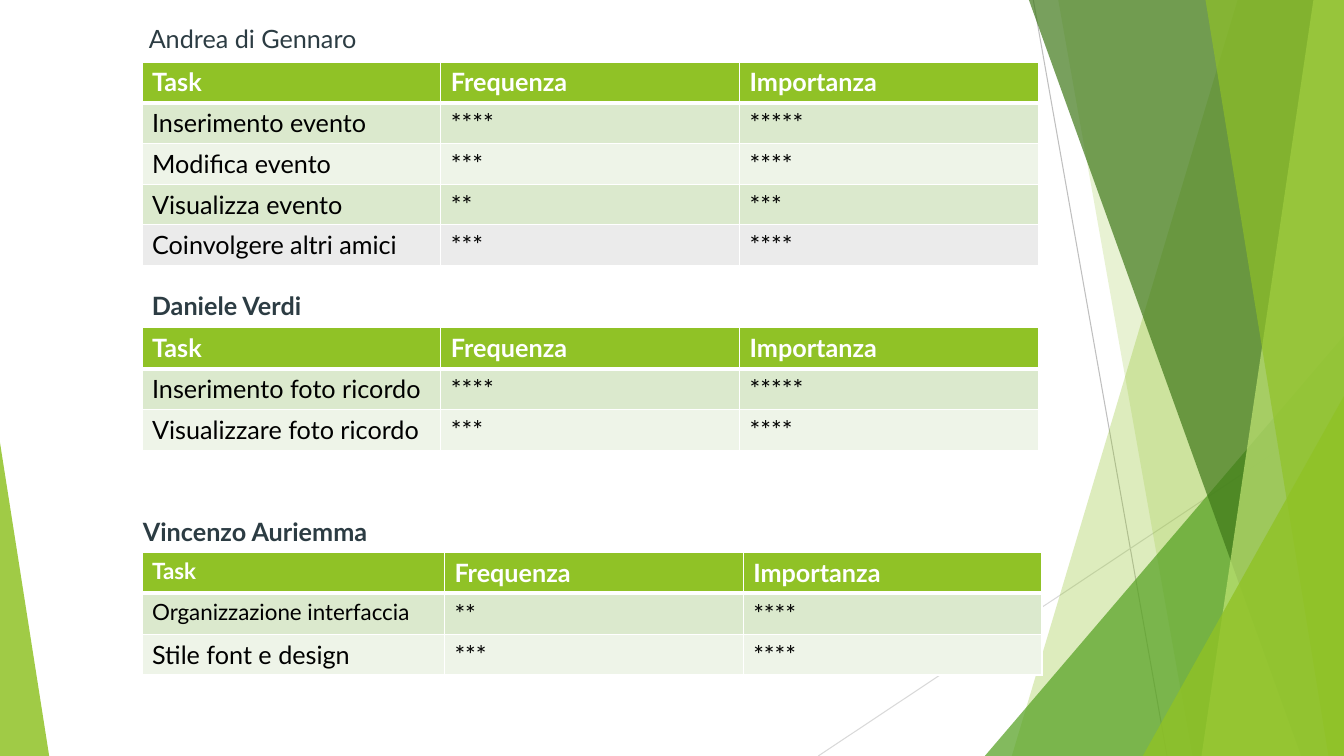
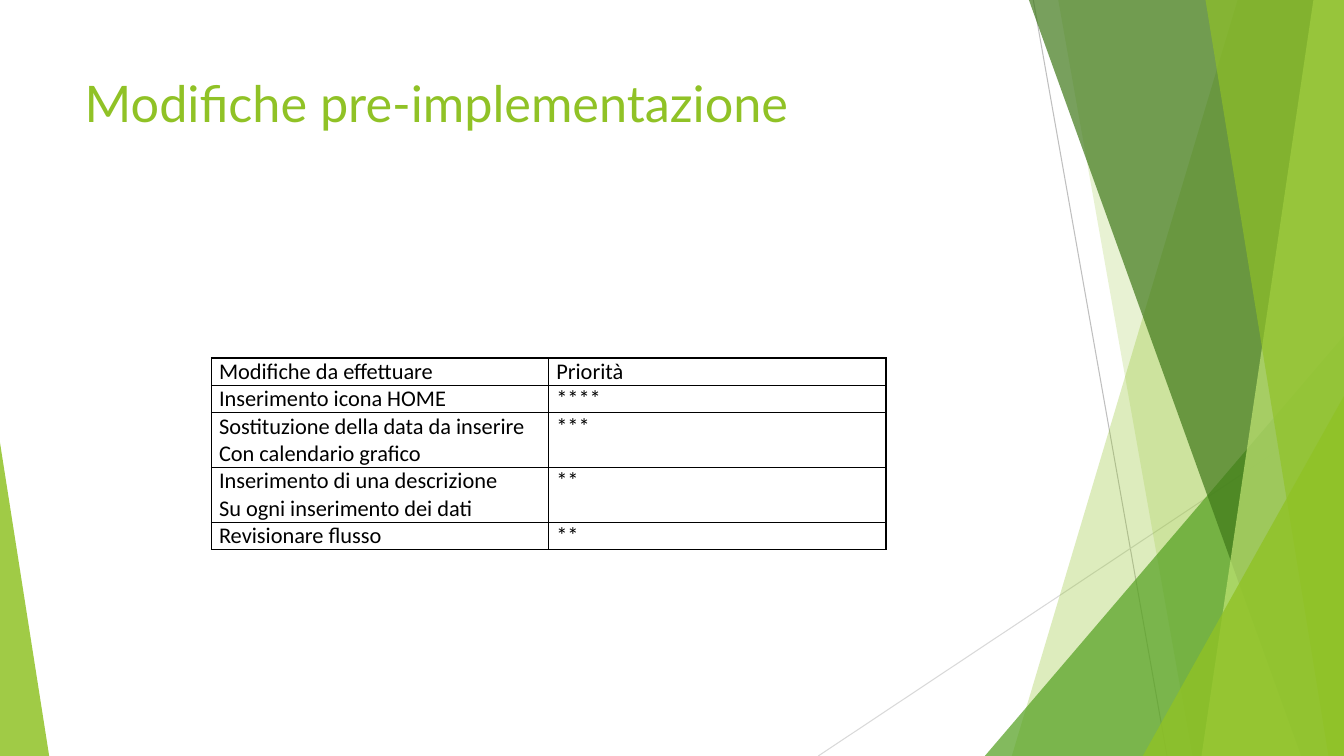
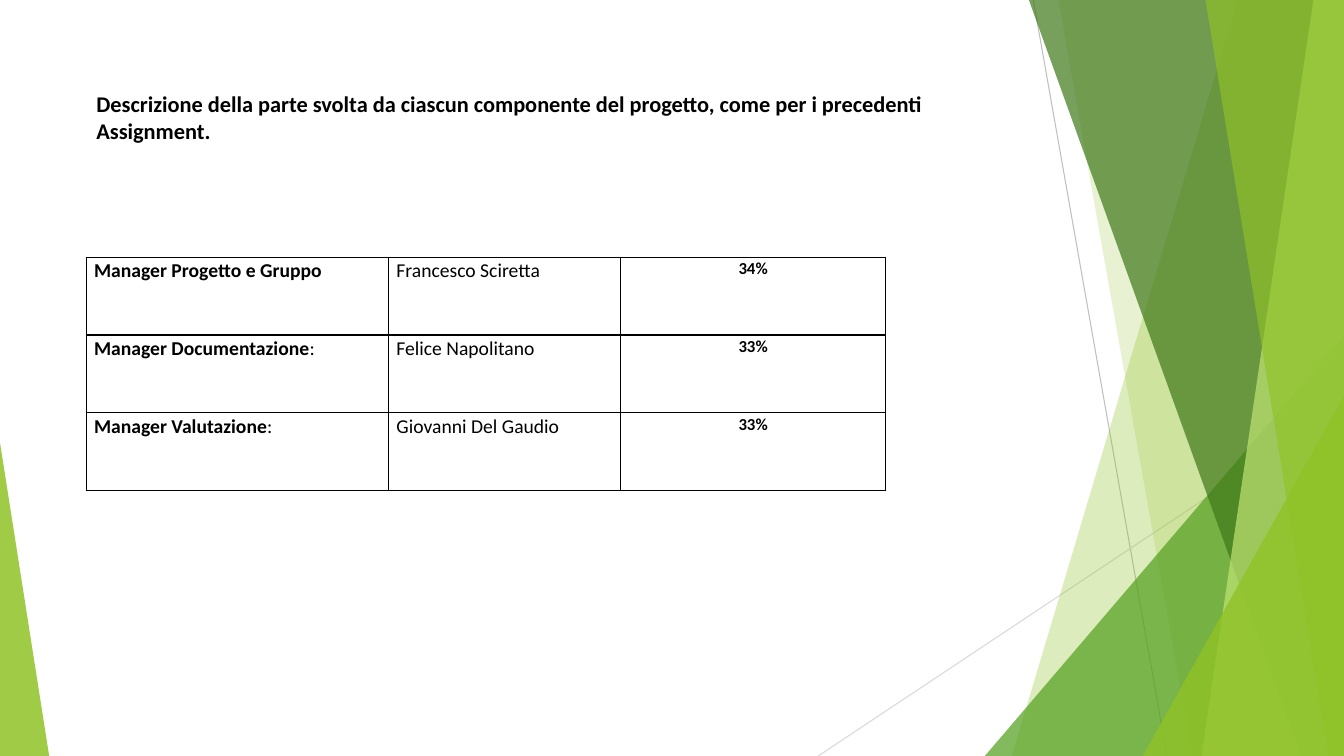
from dataclasses import dataclass

from lxml import etree
from pptx import Presentation
from pptx import util as u
from pptx.dml.color import RGBColor
from pptx.enum import shapes, text
from pptx.oxml import ns


@dataclass(frozen=True)
class Theme:
    lime: str = "90C226"
    green: str = "54A021"
    forest: str = "3F7819"
    pale_lime: str = "C0E474"
    slate: str = "2C3C43"
    row_dark: str = "DBE9CD"
    row_light: str = "EEF4E8"
    row_grey: str = "EBEBEB"
    line_dark: str = "BFBFBF"
    line_light: str = "D9D9D9"
    white: str = "FFFFFF"
    black: str = "000000"
    heading_font: str = "Lato"
    body_font: str = "Calibri"
    title_size: int = 36
    large: int = 18
    medium: int = 16
    small: int = 14
    tiny: int = 12


theme = Theme()
WIDTH, HEIGHT = 33.87, 19.05


def style(frame, font, size, colour, bold=False):
    for para in frame.paragraphs:
        for span in para.runs:
            span.font.name = font
            span.font.size = u.Pt(size)
            span.font.bold = bold
            span.font.color.rgb = RGBColor.from_string(colour)


def add_grid(slide, left, top, widths, heights, rows, font, size, border, fills=None, header=False):
    """Add a bordered table; fills holds one colour per row."""
    frame = slide.shapes.add_table(len(rows), len(widths), u.Cm(left), u.Cm(top),
                                   u.Cm(sum(widths)), u.Cm(sum(heights)))
    table = frame.table
    table.first_row = table.horz_banding = False
    for column, width in zip(table.columns, widths):
        column.width = u.Cm(width)
    for r, (values, height) in enumerate(zip(rows, heights)):
        table.rows[r].height = u.Cm(height)
        for c, value in enumerate(values):
            cell = table.cell(r, c)
            cell.text_frame.text = value
            is_header = header and r == 0
            style(cell.text_frame, font, size, theme.white if is_header else theme.black, is_header)
            # Borders come before the fill in the cell properties
            props = cell._tc.get_or_add_tcPr()
            for side in "LRTB":
                thick = header and (r, side) in ((0, "B"), (1, "T"))
                line = etree.SubElement(props, ns.qn(f"a:ln{side}"), w=str(u.Pt(3 if thick else 1)))
                solid = etree.SubElement(line, ns.qn("a:solidFill"))
                etree.SubElement(solid, ns.qn("a:srgbClr"), val=border)
            if fills:
                cell.fill.solid()
                cell.fill.fore_color.rgb = RGBColor.from_string(fills[r])
            else:
                cell.fill.background()
                cell.margin_left = cell.margin_right = u.Cm(0.19)
                cell.margin_top = cell.margin_bottom = 0
    return table


deck = Presentation()
deck.slide_width, deck.slide_height = u.Cm(WIDTH), u.Cm(HEIGHT)
title_only, blank = deck.slide_layouts[5], deck.slide_layouts[6]
tasks_slide = deck.slides.add_slide(blank)
changes_slide = deck.slides.add_slide(title_only)
roles_slide = deck.slides.add_slide(blank)

# Shared decoration: thin lines, then translucent bands and triangles
decoration = []
for x1, y1, x2, colour in ((26.04, 0, 29.41, theme.line_dark), (WIDTH, 10.24, 20.62, theme.line_light)):
    line = tasks_slide.shapes.add_connector(shapes.MSO_CONNECTOR.STRAIGHT, u.Cm(x1), u.Cm(y1),
                                            u.Cm(x2), u.Cm(HEIGHT))
    line.line.color.rgb = RGBColor.from_string(colour)
    line.line.width = u.Pt(0.75)
    etree.SubElement(line.element.spPr, ns.qn("a:effectLst"))
    decoration.append(line)

# Bands: top x, bottom x. Triangles: left, top, width, apex.
facets = (
    ("band", (31.19, 25.5), theme.lime, 30),
    ("band", (26.67, 30.05), theme.lime, 20),
    ("triangle", (24.82, 8.46, 9.05, 1), theme.green, 72),
    ("band", (25.93, 32.79), theme.forest, 70),
    ("band", (33.1, 30.28), theme.pale_lime, 70),
    ("band", (30.38, 33.48), theme.lime, 65),
    ("triangle", (28.8, 9.98, 5.07, 1), theme.lime, 80),
    ("triangle", (0, 11.15, 1.24, 0), theme.lime, 85),
)
for kind, geometry, colour, opacity in facets:
    if kind == "band":
        top_x, bottom_x = geometry
        outline = tasks_slide.shapes.build_freeform(u.Cm(top_x), 0)
        outline.add_line_segments([(u.Cm(WIDTH), 0), (u.Cm(WIDTH), u.Cm(HEIGHT)),
                                   (u.Cm(bottom_x), u.Cm(HEIGHT))])
        facet = outline.convert_to_shape()
    else:
        left, top, width, apex = geometry
        facet = tasks_slide.shapes.add_shape(shapes.MSO_SHAPE.ISOSCELES_TRIANGLE, u.Cm(left), u.Cm(top),
                                             u.Cm(width), u.Cm(HEIGHT - top))
        facet.adjustments[0] = apex
    facet.shadow.inherit = False
    facet.line.fill.background()
    facet.fill.solid()
    facet.fill.fore_color.rgb = RGBColor.from_string(colour)
    tint = facet.element.spPr.find(ns.qn("a:solidFill"))[0]
    etree.SubElement(tint, ns.qn("a:alpha"), val=str(opacity * 1000))
    decoration.append(facet)

# The slide master carries the decoration for every slide
for number, item in enumerate(decoration, start=101):
    item.element.xpath("./*/p:cNvPr")[0].set("id", str(number))
    deck.slide_master.shapes.element.append(item.element)

# Slide 1: task tables
ROW = 1.03
heading = ("Task", "Frequenza", "Importanza")
banded = (theme.lime, theme.row_dark, theme.row_light, theme.row_dark)
task_tables = (
    (1.56, 7.53, (heading, ("Inserimento evento", "****", "*****"), ("Modifica evento", "***", "****"),
                  ("Visualizza evento", "**", "***"))),
    (8.26, 7.53, (heading, ("Inserimento foto ricordo", "****", "*****"),
                  ("Visualizzare foto ricordo", "***", "****"))),
    (13.92, 7.62, (heading, ("Organizzazione interfaccia", "**", "****"),
                   ("Stile font e design", "***", "****"))),
)
for top, first_width, rows in task_tables:
    table = add_grid(tasks_slide, 3.58, top, (first_width, 7.53, 7.53), [ROW] * len(rows), rows,
                     theme.heading_font, theme.large, theme.white, banded, header=True)
for r in range(2):
    table.cell(r, 0).text_frame.paragraphs[0].runs[0].font.size = u.Pt(theme.medium)
add_grid(tasks_slide, 3.58, 5.66, [7.53] * 3, [ROW], [("Coinvolgere altri amici", "***", "****")],
         theme.heading_font, theme.large, theme.white, [theme.row_grey])

for name, left, top, width, bold in (("Andrea di Gennaro", 3.5, 0.46, 5.87, False),
                                     ("Daniele Verdi", 3.58, 7.19, 4.72, True),
                                     ("Vincenzo Auriemma", 3.35, 12.88, 6.48, True)):
    box = tasks_slide.shapes.add_textbox(u.Cm(left), u.Cm(top), u.Cm(width), u.Cm(1.02))
    box.text_frame.word_wrap = True
    box.text_frame.text = name
    style(box.text_frame, theme.heading_font, theme.large, theme.slate, bold)

# Slide 2: title and list of changes
title = changes_slide.shapes.title
title.left, title.top, title.width, title.height = u.Cm(1.88), u.Cm(1.7), u.Cm(23.88), u.Cm(3.66)
title.text_frame.text = "Modifiche pre-implementazione"
title.text_frame.word_wrap = True
title.text_frame.auto_size = text.MSO_AUTO_SIZE.NONE
title.text_frame.vertical_anchor = text.MSO_ANCHOR.TOP
title.text_frame.paragraphs[0].alignment = text.PP_ALIGN.LEFT
style(title.text_frame, theme.heading_font, theme.title_size, theme.lime)

changes = (
    ("Modifiche da effettuare", "Priorità"),
    ("Inserimento icona HOME", "****"),
    ("Sostituzione della data da inserire\nCon calendario grafico", "***"),
    ("Inserimento di una descrizione\nSu ogni inserimento dei dati", "**"),
    ("Revisionare flusso", "**"),
)
heights = [0.69 * (1 + change.count("\n")) for change, priority in changes]
add_grid(changes_slide, 5.33, 9.02, (8.5, 8.5), heights, changes,
         theme.body_font, theme.medium, theme.black)

# Slide 3: roles and shares
roles = (
    ("Manager Progetto e Gruppo", "Francesco Sciretta", "34%"),
    ("Manager Documentazione", "Felice Napolitano", "33%"),
    ("Manager Valutazione", "Giovanni Del Gaudio", "33%"),
)
table = add_grid(roles_slide, 2.18, 6.48, (7.62, 5.84, 6.68), [1.96] * 3, roles,
                 theme.body_font, theme.small, theme.black)
for r in range(len(roles)):
    role, person, share = (table.cell(r, c).text_frame for c in range(3))
    if r > 0:
        role.paragraphs[0].add_run().text = ":"
        style(role, theme.body_font, theme.small, theme.black)
    role.paragraphs[0].runs[0].font.bold = True
    style(share, theme.body_font, theme.tiny, theme.black, True)
    for frame in (role, person, share):
        para = frame.paragraphs[0]
        para.line_spacing = 1.07
        para.alignment = text.PP_ALIGN.CENTER if frame is share else text.PP_ALIGN.JUSTIFY

box = roles_slide.shapes.add_textbox(u.Cm(2.18), u.Cm(2.46), u.Cm(23.42), u.Cm(1.7))
box.text_frame.word_wrap = True
box.text_frame.vertical_anchor = text.MSO_ANCHOR.MIDDLE
box.text_frame.margin_bottom = u.Cm(0.85)
box.text_frame.text = ("Descrizione della parte svolta da ciascun componente del progetto, "
                       "come per i precedenti Assignment.")
style(box.text_frame, theme.body_font, theme.medium, theme.black, True)

deck.save("out.pptx")
